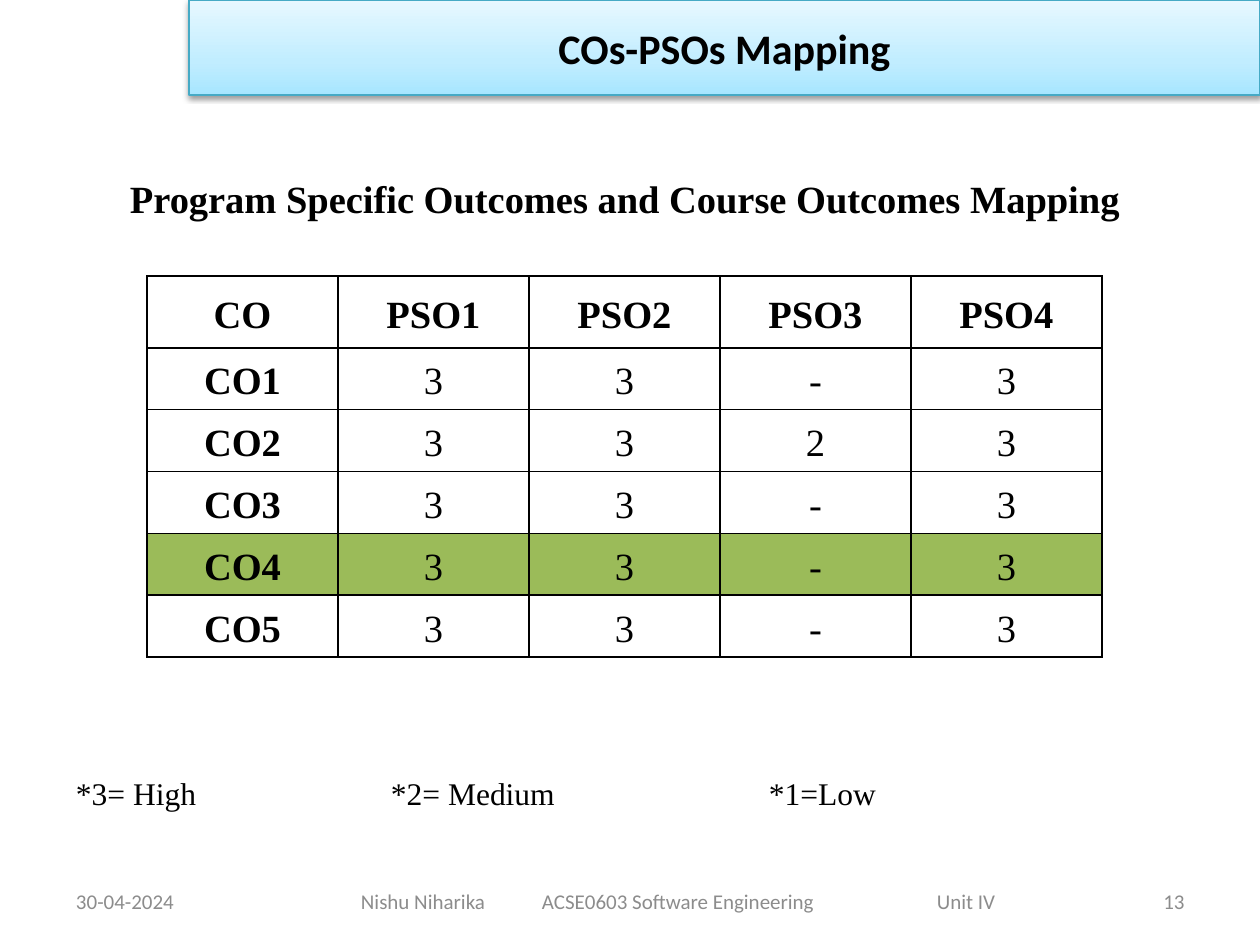
import pptx
import pptx.chart.data
import pptx.dml.color
import pptx.enum.text
import pptx.oxml
import pptx.oxml.ns
import pptx.util
from lxml import etree

PX = 914400 / 126
COLORS = {
    "black": "000000", "white": "FFFFFF", "footer": "8C8C8C", "highlight": "9BBB59",
    "title_line": "46AAC5", "title_low": "A7E6FF", "title_mid": "C1EDFF", "title_high": "E7F8FF",
}
SERIF, SANS = "Times New Roman", "Calibri"
LEFT, CENTER, RIGHT = (pptx.enum.text.PP_ALIGN.LEFT, pptx.enum.text.PP_ALIGN.CENTER,
                       pptx.enum.text.PP_ALIGN.RIGHT)
MIDDLE = pptx.enum.text.MSO_ANCHOR.MIDDLE
MAPPING = [
    ["CO", "PSO1", "PSO2", "PSO3", "PSO4"],
    ["CO1", "3", "3", "-", "3"],
    ["CO2", "3", "3", "2", "3"],
    ["CO3", "3", "3", "-", "3"],
    ["CO4", "3", "3", "-", "3"],
    ["CO5", "3", "3", "-", "3"],
]
HIGHLIGHTED = "CO4"


def px(length):
    return pptx.util.Emu(round(length * PX))


def rgb(name):
    return pptx.dml.color.RGBColor.from_string(COLORS[name])


def xml(markup):
    """Parse one DrawingML element whose prefix is a."""
    head, mark, rest = markup.partition(">")
    slash = "/" if head.endswith("/") else ""
    return pptx.oxml.parse_xml(f"{head.rstrip('/')} {pptx.oxml.ns.nsdecls('a')}{slash}{mark}{rest}")


def style(para, size, font, color="black", bold=False, align=LEFT):
    para.alignment = align
    para.font.size = pptx.util.Pt(size)
    para.font.name = font
    para.font.bold = bold
    para.font.color.rgb = rgb(color)


def add_text(page, box, text, size, font, inset=13, tabs=(), **look):
    """Add a one-line text box; tabs are px from the left inset."""
    frame = page.shapes.add_textbox(*map(px, box)).text_frame
    frame.word_wrap = True
    frame.vertical_anchor = MIDDLE
    frame.margin_left = px(inset)
    para = frame.paragraphs[0]
    para.text = text
    if tabs:
        tab_list = etree.SubElement(para._p.get_or_add_pPr(), pptx.oxml.ns.qn("a:tabLst"))
        for stop in tabs:
            tab_list.append(xml(f'<a:tab pos="{px(stop)}" algn="l"/>'))
    style(para, size, font, **look)
    return frame


def add_title(page, box):
    title = page.shapes.title
    title.left, title.top, title.width, title.height = map(px, box)
    stops = "".join(
        f'<a:gs pos="{place * 1000}"><a:srgbClr val="{COLORS[name]}"/></a:gs>'
        for place, name in ((0, "title_low"), (35, "title_mid"), (100, "title_high")))
    properties = title._element.spPr
    properties.append(xml(f'<a:gradFill rotWithShape="1"><a:gsLst>{stops}</a:gsLst>'
                          '<a:lin ang="16200000" scaled="1"/></a:gradFill>'))
    title.line.color.rgb = rgb("title_line")
    title.line.width = pptx.util.Pt(0.75)
    properties.append(xml(
        '<a:effectLst><a:outerShdw blurRad="40000" dist="20000" dir="5400000" rotWithShape="0">'
        f'<a:srgbClr val="{COLORS["black"]}"><a:alpha val="38000"/></a:srgbClr>'
        '</a:outerShdw></a:effectLst>'))
    frame = title.text_frame
    frame.text = "COs-PSOs Mapping"
    frame.vertical_anchor = MIDDLE
    style(frame.paragraphs[0], 24, SANS, bold=True, align=CENTER)


def format_cell(cell, text, fill, bold):
    cell.text = text
    cell.vertical_anchor = MIDDLE
    cell.margin_left = cell.margin_right = px(9)
    cell.margin_top = cell.margin_bottom = 0
    para = cell.text_frame.paragraphs[0]
    para.line_spacing = 1.15
    style(para, 22, SERIF, bold=bold, align=CENTER)
    properties = cell._tc.get_or_add_tcPr()
    for side in "LRTB":
        properties.append(xml(f'<a:ln{side} w="12700"><a:solidFill>'
                              f'<a:srgbClr val="{COLORS["black"]}"/></a:solidFill></a:ln{side}>'))
    cell.fill.solid()
    cell.fill.fore_color.rgb = rgb(fill)


def add_mapping_table(page, box, header_height=72):
    left, top, width, height = box
    row_count, column_count = len(MAPPING), len(MAPPING[0])
    table = page.shapes.add_table(row_count, column_count, *map(px, box)).table
    for column in table.columns:
        column.width = px(width / column_count)
    for index, row in enumerate(table.rows):
        row.height = px((height - header_height) / (row_count - 1) if index else header_height)
    for r, values in enumerate(MAPPING):
        fill = "highlight" if values[0] == HIGHLIGHTED else "white"
        for c, value in enumerate(values):
            format_cell(table.cell(r, c), value, fill, bold=r == 0 or c == 0)


def add_footer(page, box):
    left, top, width, height = box
    look = {"size": 12, "font": SANS, "color": "footer"}
    add_text(page, (left, top, 294, height), "30-04-2024", **look)
    add_text(page, (left + 283, top, 693, height),
             "Nishu Niharika\tACSE0603 Software Engineering\tUnit IV",
             inset=15, tabs=(181, 576), **look)
    add_text(page, (left + width - 294, top, 294, height), "13", align=RIGHT, **look)


def main():
    deck = pptx.Presentation()
    deck.slide_width, deck.slide_height = px(1260), px(945)
    page = deck.slides.add_slide(deck.slide_layouts[5])
    add_title(page, (189, 0, 1071, 95))
    heading = add_text(page, (92, 169, 1074, 53),
                       "Program Specific Outcomes and Course Outcomes Mapping",
                       22, SERIF, inset=38, bold=True)
    heading.margin_bottom = 0
    add_mapping_table(page, (147, 276, 955, 381))
    add_text(page, (0, 767, 1231, 51), "*3= High\t*2= Medium\t*1=Low",
             18, SERIF, inset=76, tabs=(315, 693))
    add_footer(page, (63, 876, 1134, 50))
    deck.save("out.pptx")


if __name__ == "__main__":
    main()
